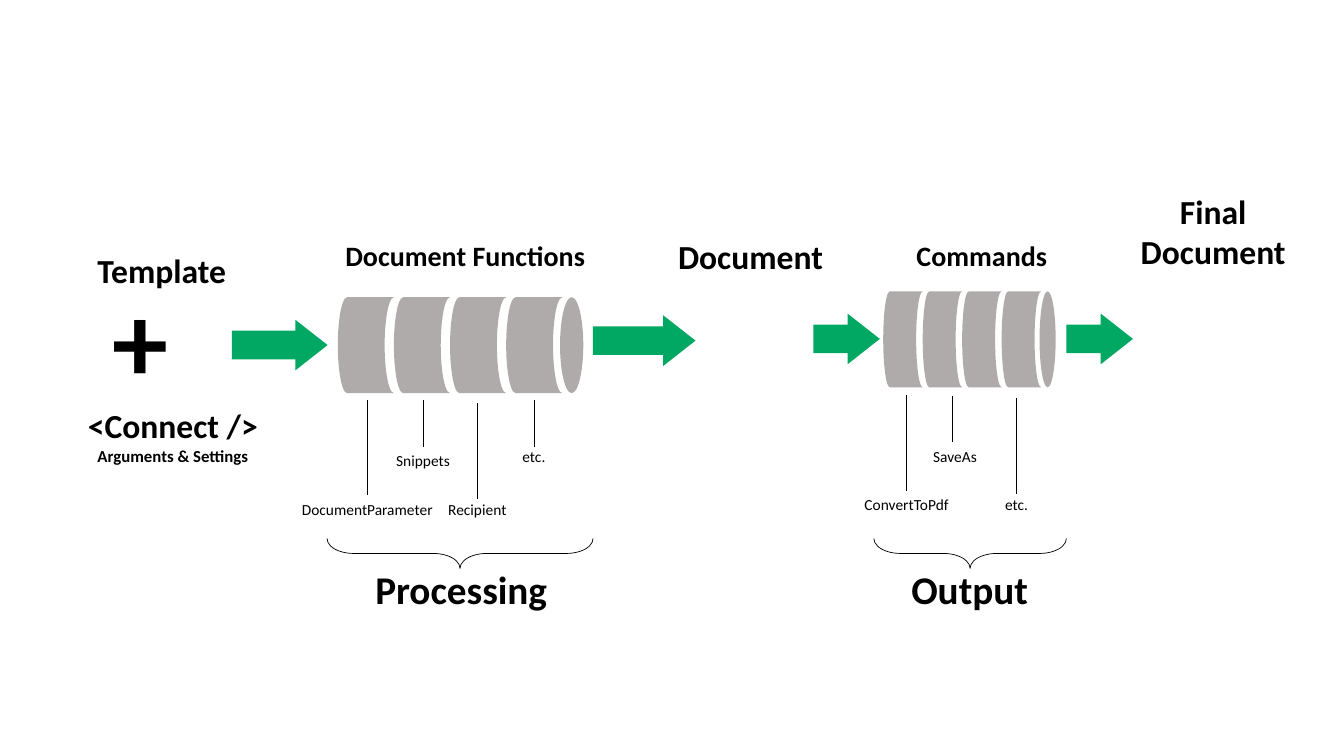
import pptx
import pptx.util
import pptx.dml.color
import pptx.enum.shapes
import pptx.enum.text
import pptx.oxml.ns
import lxml.etree

Pt = pptx.util.Pt
KIND = pptx.enum.shapes.MSO_SHAPE
GREEN, GRAY, BLACK = "00A864", "AFABAB", "000000"


def paint(form, color):
    """Set a fill or font colour from a hex string."""
    form.rgb = pptx.dml.color.RGBColor.from_string(color)


def shape(home, kind, left, top, width, height, fill=None):
    """Add a preset shape with a solid fill, or a thin black outline."""
    item = home.shapes.add_shape(kind, Pt(left), Pt(top), Pt(width), Pt(height))
    item.shadow.inherit = False
    if fill:
        item.fill.solid()
        paint(item.fill.fore_color, fill)
        item.line.fill.background()
    else:
        item.fill.background()
        paint(item.line.color, BLACK)
        item.line.width = Pt(0.5)
    return item


def label(slide, text, left, top, width, height, size, bold=True):
    """Add a centred text box that wraps."""
    box = slide.shapes.add_textbox(Pt(left), Pt(top), Pt(width), Pt(height))
    frame = box.text_frame
    frame.text = text
    frame.word_wrap = True
    frame.auto_size = pptx.enum.text.MSO_AUTO_SIZE.SHAPE_TO_FIT_TEXT
    line = frame.paragraphs[0]
    line.alignment = pptx.enum.text.PP_ALIGN.CENTER
    for run in line.runs:
        style(run, size, bold)
    return line


def style(run, size, bold):
    """Format one run."""
    run.font.name = "Calibri"
    run.font.size = Pt(size)
    run.font.bold = bold
    paint(run.font.color, BLACK)


def arrow(slide, left, top, width):
    """Add a green arrow to the right."""
    item = shape(slide, KIND.RIGHT_ARROW, left, top, width, 36.2, GREEN)
    item.adjustments[0] = 0.565
    item.adjustments[1] = 0.637


def drum(slide, left, top, step, cap):
    """Add a grouped pipe of four segments closed by an ellipse."""
    group = slide.shapes.add_group_shape()
    for part in range(4):
        shape(group, KIND.FLOWCHART_STORED_DATA, left + part * step, top, step, 68.6, GRAY)
    shape(group, KIND.OVAL, left + 4 * step - cap * 0.1, top, cap, 68.6, GRAY)


def brace(slide, left, top, width):
    """Add a brace that opens upward over the given width."""
    depth = 21.4
    item = shape(slide, KIND.LEFT_BRACE, left + (width - depth) / 2,
                 top + (depth - width) / 2, depth, width)
    item.rotation = 270
    item.adjustments[0] = 0.888


def tag(slide, text, mid, start, end, top, shift=0):
    """Add a leader line with a small label below it."""
    line = slide.shapes.add_connector(
        pptx.enum.shapes.MSO_CONNECTOR.STRAIGHT, Pt(mid), Pt(start), Pt(mid), Pt(end))
    paint(line.line.color, BLACK)
    line.line.width = Pt(0.5)
    lxml.etree.SubElement(line._element.spPr, pptx.oxml.ns.qn("a:effectLst"))
    width = 116
    label(slide, text, mid + shift - width / 2, top, width, 20.6, 11, False)


def main():
    """Build the slide and save it."""
    deck = pptx.Presentation()
    deck.slide_width, deck.slide_height = Pt(960), Pt(540)
    slide = deck.slides.add_slide(deck.slide_layouts[6])

    for text, left, top, width, height, size in (
            ("Template", 60.5, 175, 110, 36, 24),
            ("Document", 467.3, 164.9, 137.5, 36, 24),
            ("Final Document", 797.8, 132.5, 137.5, 65.4, 24),
            ("+", 73.4, 189.4, 46.8, 104.4, 80),
            ("Document Functions", 229.7, 167, 205.2, 31.5, 20),
            ("Commands", 617.8, 166.5, 167, 31.5, 20),
            ("Processing", 198.7, 400.3, 261.4, 41, 28),
            ("Output", 577.4, 400, 230.4, 41, 28)):
        label(slide, text, left, top, width, height, size)
    line = label(slide, "<Connect /> ", 49, 285.8, 149, 51, 24)
    run = line.add_run()
    run.text = "Arguments & Settings"
    style(run, 12, True)

    for spot in ((165.6, 228.4, 68.4), (423.4, 225.2, 73.4),
                 (581, 224, 47.5), (761.8, 224, 47.5)):
        arrow(slide, *spot)
    drum(slide, 241.3, 212.3, 40.1, 16.6)
    drum(slide, 630.9, 208.1, 28.2, 11.5)
    brace(slide, 233.6, 384.6, 190)
    brace(slide, 624.2, 384.6, 137.5)

    for spot in (("DocumentParameter", 262.4, 285.8, 353.8, 353.8),
                 ("Snippets", 302.2, 286, 319, 318.8),
                 ("Recipient", 341, 288, 356.2, 353.8),
                 ("etc.", 381.4, 286, 319, 316),
                 ("ConvertToPdf", 647.6, 282, 350.4, 350.1),
                 ("SaveAs", 680.4, 283, 316, 316, 1.8),
                 ("etc.", 726.2, 284.6, 352.8, 350.1)):
        tag(slide, *spot)
    deck.save("out.pptx")


if __name__ == "__main__":
    main()
